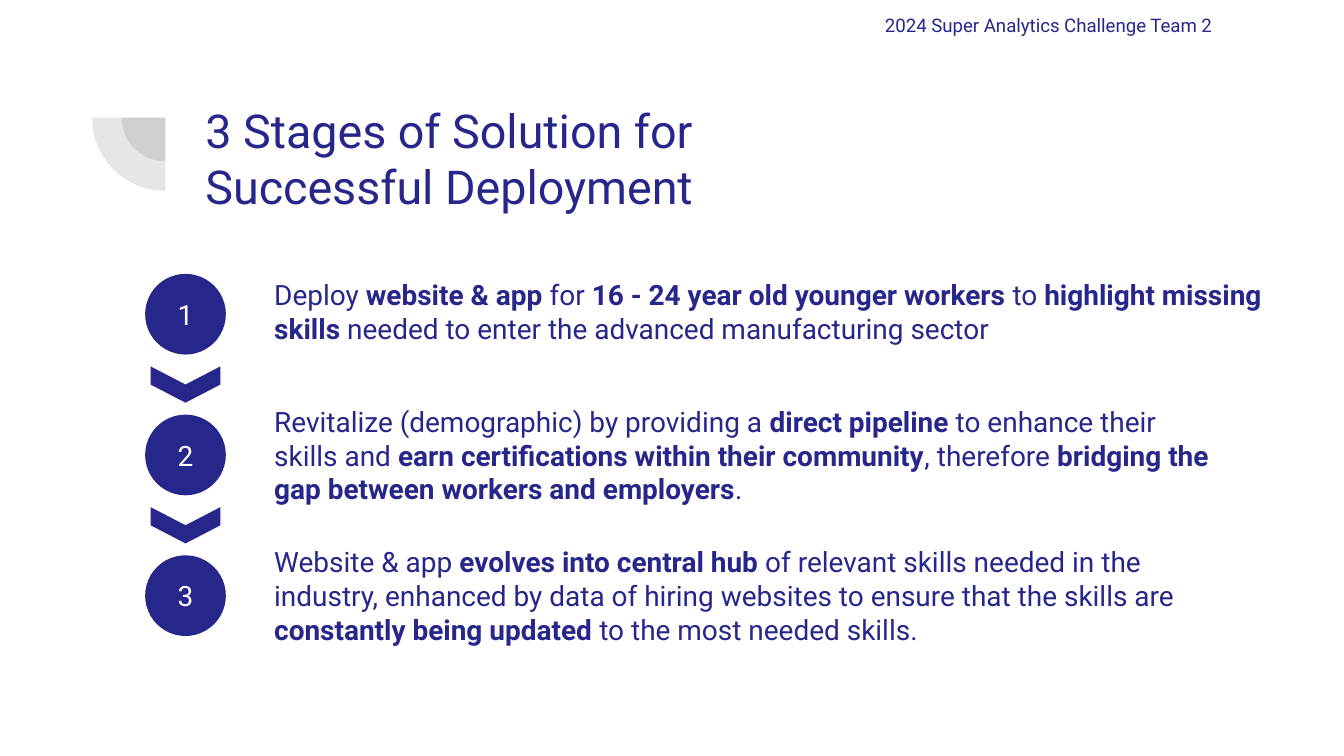
from dataclasses import dataclass

from pptx import Presentation
from pptx.dml.color import RGBColor
from pptx.enum.shapes import MSO_SHAPE
from pptx.enum.text import MSO_ANCHOR, PP_ALIGN
from pptx.oxml.ns import qn
from pptx.util import Inches, Length, Pt
from lxml import etree

NAVY = RGBColor(0x27, 0x27, 0x8B)
GREY = RGBColor(0x42, 0x42, 0x42)
WHITE = RGBColor(0xFF, 0xFF, 0xFF)
FONT = "Roboto"

OVAL, CHEVRON, PIE = MSO_SHAPE.OVAL, MSO_SHAPE.CHEVRON, MSO_SHAPE.PIE
TOP, MIDDLE = MSO_ANCHOR.TOP, MSO_ANCHOR.MIDDLE
LEFT, RIGHT, CENTER = PP_ALIGN.LEFT, PP_ALIGN.RIGHT, PP_ALIGN.CENTER

# The grid has 100 columns; rows are as high as columns are wide.
WIDTH = Inches(10)
HEIGHT = Length(WIDTH * 9 // 16)
CELL = WIDTH / 100

STAGE_X, STAGE_Y, STEP = 13.8, 23.38, 10.47
DISC = 5.9
TEXT_X, TEXT_H = 19.42, 7.8


@dataclass
class Box:
    """A place on the grid, in columns and rows."""
    x: float
    y: float
    w: float
    h: float

    def place(self) -> list[Length]:
        return [Length(round(n * CELL)) for n in (self.x, self.y, self.w, self.h)]


@dataclass
class Stage:
    text: str  # asterisks enclose bold words
    top: float
    width: float


STAGES = [
    Stage("Deploy *website & app* for *16 - 24 year old younger workers* to "
          "*highlight missing skills* needed to enter the advanced "
          "manufacturing sector", 19.25, 75.7),
    Stage("Revitalize (demographic) by providing a *direct pipeline* to enhance "
          "their skills and *earn certifications within their community*, "
          "therefore *bridging the gap between workers and employers*.",
          29.95, 71.7),
    Stage("Website & app *evolves into central hub* of relevant skills needed in "
          "the industry, enhanced by data of hiring websites to ensure that the "
          "skills are *constantly being updated* to the most needed skills.",
          40.4, 71.7),
]


def around(x: float, y: float, w: float, h: float) -> Box:
    """Box centred on a grid point."""
    return Box(x - w / 2, y - h / 2, w, h)


def write(shape, text: str, size: float, color=NAVY, align=LEFT, anchor=TOP) -> None:
    """Fill a shape with text; every second part between asterisks is bold."""
    frame = shape.text_frame
    frame.word_wrap = True
    frame.vertical_anchor = anchor
    frame.margin_left = frame.margin_right = Inches(0.1)
    frame.margin_top = frame.margin_bottom = Inches(0.1)
    para = frame.paragraphs[0]
    para.alignment = align
    para.font.name, para.font.size = FONT, Pt(size)
    para.font.color.rgb = color
    for i, part in enumerate(text.split("*")):
        for j, line in enumerate(part.split("\n")):
            if j:
                para.add_line_break()
            run = para.add_run()
            run.text = line
            if i % 2:
                run.font.bold = True


def label(slide, box: Box, text: str, size: float, **style) -> None:
    write(slide.shapes.add_textbox(*box.place()), text, size, **style)


def solid(slide, kind, box: Box, color: RGBColor, turn: float = 0):
    shape = slide.shapes.add_shape(kind, *box.place())
    shape.shadow.inherit = False
    shape.fill.solid()
    shape.fill.fore_color.rgb = color
    shape.line.fill.background()
    shape.rotation = turn
    return shape


def wedge(slide, size: float) -> None:
    """Faint quarter disc, lower left of a shared centre."""
    shape = solid(slide, PIE, around(12.3, 8.75, size, size), GREY, 270)
    shape.adjustments[0], shape.adjustments[1] = 107.93, 162
    tint = shape.fill._xPr.find(qn("a:solidFill"))[0]
    etree.SubElement(tint, qn("a:alpha"), val="13000")


def disc(slide, y: float, text: str) -> None:
    shape = solid(slide, OVAL, around(STAGE_X, y, DISC, DISC), NAVY)
    shape.line.color.rgb = NAVY
    shape.line.width = Pt(0.75)
    write(shape, text, 15, color=WHITE, align=CENTER, anchor=MIDDLE)


def main() -> None:
    deck = Presentation()
    deck.slide_width, deck.slide_height = WIDTH, HEIGHT
    slide = deck.slides.add_slide(deck.slide_layouts[6])

    for size in (6.5, 10.9):
        wedge(slide, size)
    label(slide, Box(14.3, 6.55, 76.9, 10.9),
          "3 Stages of Solution for\nSuccessful Deployment", 25)
    label(slide, Box(9.25, 0.2, 81.9, 4),
          "2024 Super Analytics Challenge Team 2", 10, align=RIGHT)

    for i, stage in enumerate(STAGES):
        y = STAGE_Y + i * STEP
        disc(slide, y, str(i + 1))
        label(slide, Box(TEXT_X, stage.top, stage.width, TEXT_H),
              stage.text, 15, anchor=MIDDLE)
        if i:
            solid(slide, CHEVRON, around(STAGE_X, y - STEP / 2, 2.7, 5.2), NAVY, 90)

    deck.save("out.pptx")


if __name__ == "__main__":
    main()
